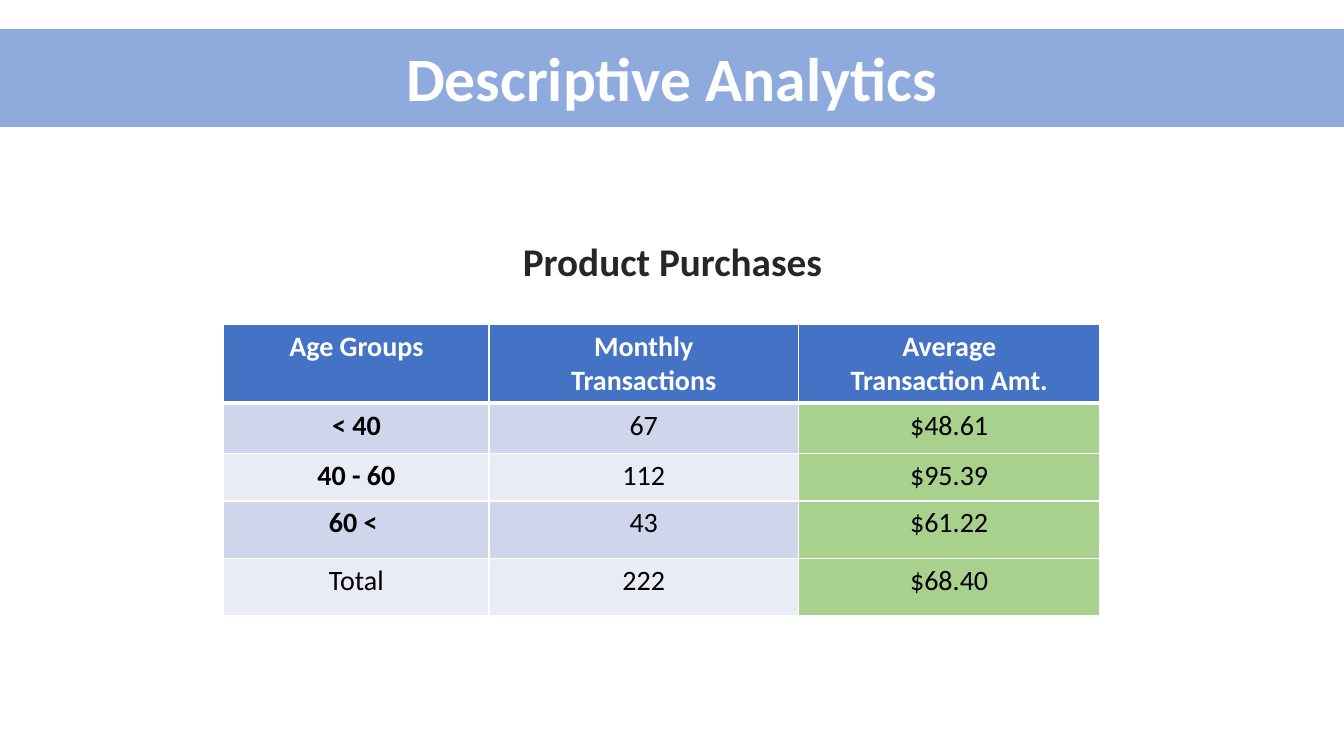
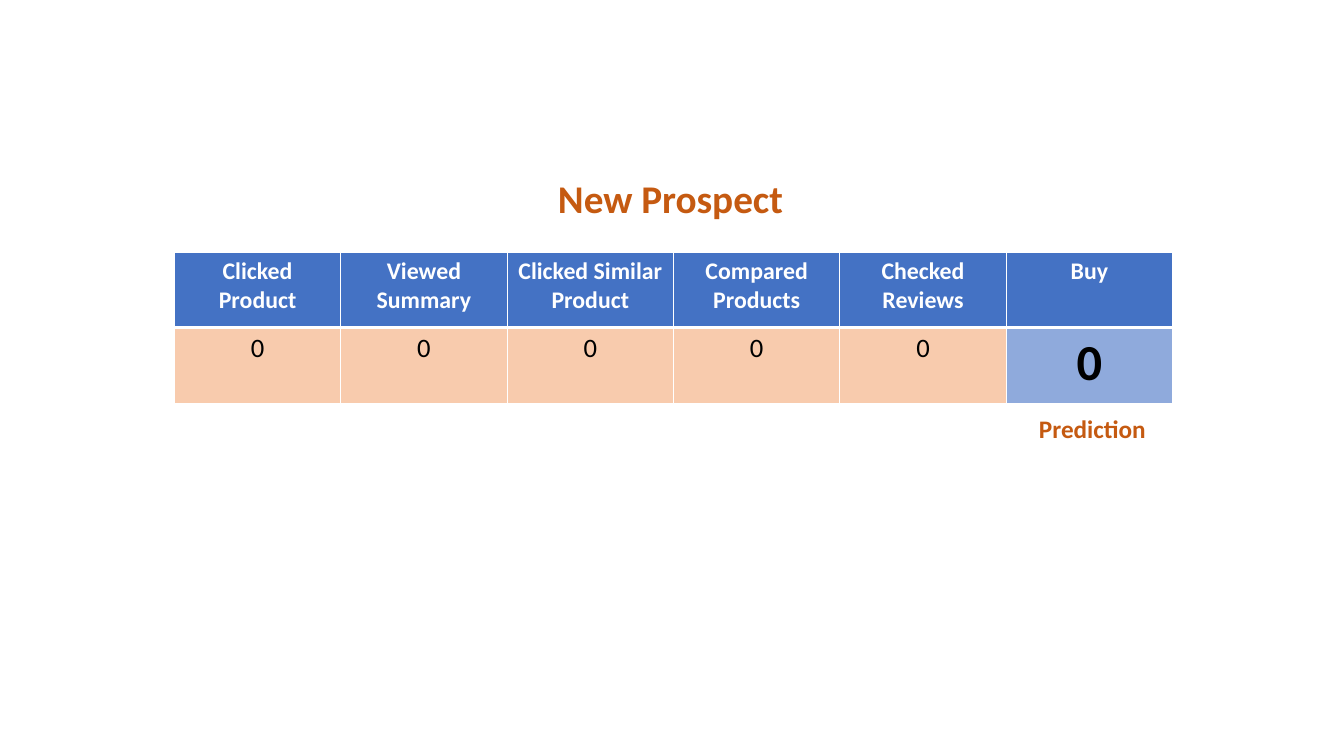
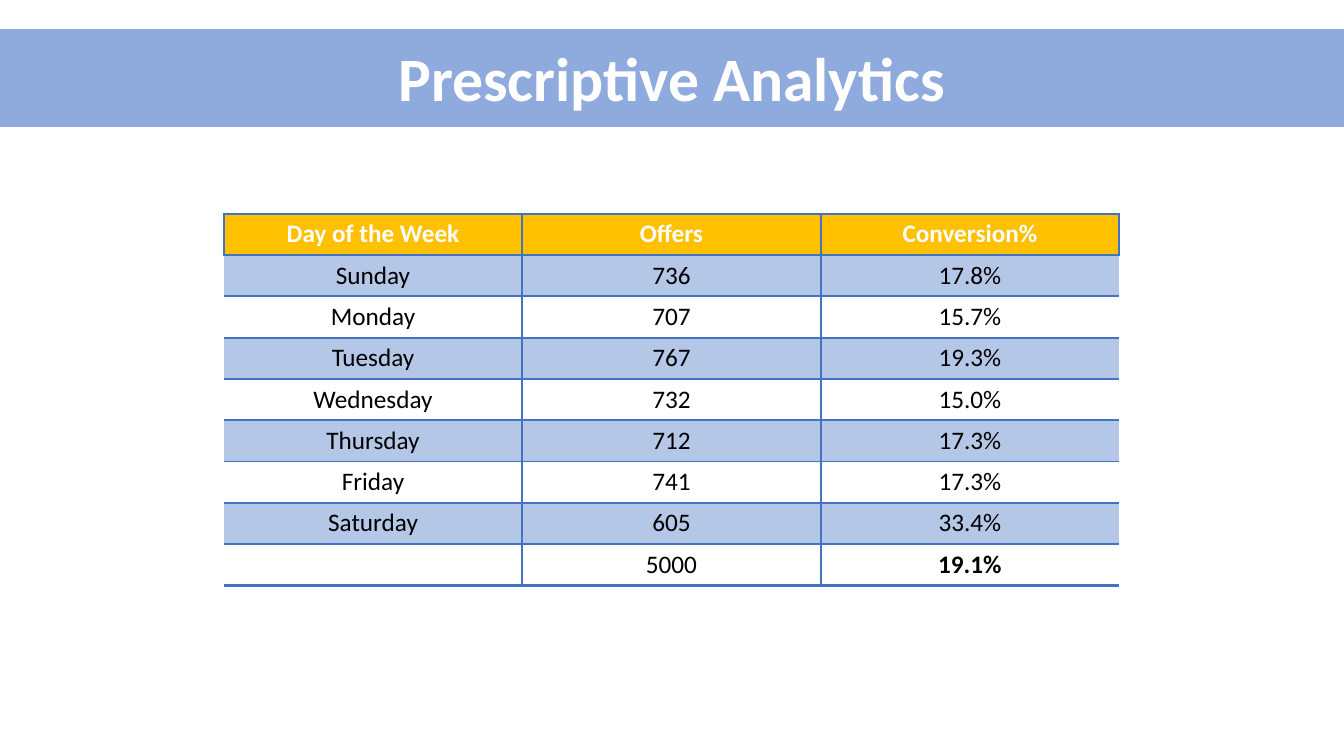
import dataclasses
import typing

import lxml.etree
import pptx
import pptx.dml.color
import pptx.enum.shapes
import pptx.enum.text
import pptx.oxml.ns
import pptx.util

Inches = pptx.util.Inches
FONT = "Calibri"
WIDE, HIGH = 13.33, 7.5

HUES = {
    "white": "FFFFFF",
    "black": "000000",
    "ink": "262626",
    "rust": "C55A11",
    "blue": "4472C4",
    "band": "8FAADC",
    "dark": "CFD5EA",
    "light": "E9EBF5",
    "green": "A9D18E",
    "peach": "F8CBAD",
    "gold": "FFC000",
    "sky": "B4C7E7",
}


@dataclasses.dataclass(frozen=True)
class Label:
    words: str
    left: float
    top: float
    width: float
    height: float
    size: float
    hue: str


@dataclasses.dataclass(frozen=True)
class Look:
    fill: str
    size: float
    hue: str = "black"
    bold: bool = False


# Line widths in points; 0 means no line
@dataclasses.dataclass(frozen=True)
class Edge:
    hue: str
    left: float
    right: float
    top: float
    bottom: float


@dataclasses.dataclass(frozen=True)
class Grid:
    left: float
    top: float
    cols: list[float]
    rows: list[float]
    words: list[list[str]]
    look: typing.Callable[[int, int], Look]
    edge: typing.Callable[[int, int], Edge]


def tint(name: str) -> pptx.dml.color.RGBColor:
    return pptx.dml.color.RGBColor.from_string(HUES[name])


def write(frame, words: str, size: float, hue: str, bold: bool) -> None:
    for num, line in enumerate(words.split("\n")):
        para = frame.add_paragraph() if num else frame.paragraphs[0]
        para.alignment = pptx.enum.text.PP_ALIGN.CENTER
        if not line:
            continue
        run = para.add_run()
        run.text = line
        run.font.name = FONT
        run.font.size = pptx.util.Pt(size)
        run.font.bold = bold
        run.font.color.rgb = tint(hue)


def add_label(slide, label: Label) -> None:
    box = slide.shapes.add_textbox(Inches(label.left), Inches(label.top),
                                   Inches(label.width), Inches(label.height))
    frame = box.text_frame
    frame.word_wrap = False
    frame.auto_size = pptx.enum.text.MSO_AUTO_SIZE.SHAPE_TO_FIT_TEXT
    write(frame, label.words, label.size, label.hue, True)


def add_band(slide, title: str, width: float) -> None:
    band = slide.shapes.add_shape(pptx.enum.shapes.MSO_SHAPE.RECTANGLE, 0,
                                  Inches(0.29), Inches(WIDE), Inches(0.97))
    band.shadow.inherit = False
    band.fill.solid()
    band.fill.fore_color.rgb = tint("band")
    band.line.fill.background()
    add_label(slide, Label(title, (WIDE - width) / 2, 0.35, width, 0.84, 44, "white"))


def rule(cell, edge: Edge) -> None:
    props = cell._tc.get_or_add_tcPr()
    sides = {"L": edge.left, "R": edge.right, "T": edge.top, "B": edge.bottom}
    for side, width in sides.items():
        line = lxml.etree.SubElement(props, pptx.oxml.ns.qn(f"a:ln{side}"))
        if not width:
            lxml.etree.SubElement(line, pptx.oxml.ns.qn("a:noFill"))
            continue
        line.set("w", str(pptx.util.Pt(width)))
        solid = lxml.etree.SubElement(line, pptx.oxml.ns.qn("a:solidFill"))
        hue = lxml.etree.SubElement(solid, pptx.oxml.ns.qn("a:srgbClr"))
        hue.set("val", HUES[edge.hue])


def add_grid(slide, grid: Grid) -> None:
    table = slide.shapes.add_table(
        len(grid.rows), len(grid.cols), Inches(grid.left), Inches(grid.top),
        Inches(sum(grid.cols)), Inches(sum(grid.rows))).table
    for col, width in zip(table.columns, grid.cols):
        col.width = Inches(width)
    for row, height in zip(table.rows, grid.rows):
        row.height = Inches(height)
    for r, line in enumerate(grid.words):
        for c, words in enumerate(line):
            cell, look = table.cell(r, c), grid.look(r, c)
            rule(cell, grid.edge(r, c))
            cell.fill.solid()
            cell.fill.fore_color.rgb = tint(look.fill)
            write(cell.text_frame, words, look.size, look.hue, look.bold)


# White grid with a heavy rule under the header
def white_edge(r: int, c: int) -> Edge:
    return Edge("white", 1, 1, 3 if r == 1 else 1, 1 if r else 3)


# Blue grid, open at the sides below the header
def blue_edge(r: int, c: int) -> Edge:
    return Edge("blue", 1.5 if r == 0 or c > 0 else 0,
                1.5 if r == 0 or c < 2 else 0, 1.5, 3 if r == 8 else 1.5)


def age_look(r: int, c: int) -> Look:
    if r == 0:
        return Look("blue", 20, "white", True)
    fill = "green" if c == 2 else "dark" if r % 2 else "light"
    return Look(fill, 20, bold=c == 0 and r < 4)


def lead_look(r: int, c: int) -> Look:
    if r == 0:
        return Look("blue", 17, "white", True)
    return Look("band", 36, bold=True) if c == 5 else Look("peach", 19)


def day_look(r: int, c: int) -> Look:
    if r == 0:
        return Look("gold", 18, "white", True)
    return Look("sky" if r % 2 else "white", 18, bold=(r, c) == (8, 2))


AGES = Grid(2.22, 3.22, [2.63, 3.07, 2.99], [0.78, 0.5, 0.47, 0.57, 0.57], [
    ["Age Groups", "Monthly\nTransactions", "Average\nTransaction Amt."],
    ["< 40", "67", "$48.61"],
    ["40 - 60", "112", "$95.39"],
    ["60 < ", "43", "$61.22"],
    ["Total", "222", "$68.40"],
], age_look, white_edge)

LEAD = Grid(1.73, 2.5, [1.65] * 6, [0.75] * 2, [
    ["Clicked Product", "Viewed Summary", "Clicked Similar Product",
     "Compared Products", "Checked Reviews", "Buy"],
    ["0"] * 6,
], lead_look, white_edge)

DAYS = Grid(2.22, 2.12, [2.96] * 3, [0.41] * 9, [
    ["Day of the Week", "Offers", "Conversion%"],
    ["Sunday", "736", "17.8%"],
    ["Monday", "707", "15.7%"],
    ["Tuesday", "767", "19.3%"],
    ["Wednesday", "732", "15.0%"],
    ["Thursday", "712", "17.3%"],
    ["Friday", "741", "17.3%"],
    ["Saturday", "605", "33.4%"],
    ["", "5000", "19.1%"],
], day_look, blue_edge)


def main() -> None:
    deck = pptx.Presentation()
    deck.slide_width, deck.slide_height = Inches(WIDE), Inches(HIGH)
    blank = deck.slide_layouts[6]

    # Purchases by age
    slide = deck.slides.add_slide(blank)
    add_grid(slide, AGES)
    add_label(slide, Label("Product Purchases", 5.07, 2.31, 3.2, 0.57, 28, "ink"))
    add_band(slide, "Descriptive Analytics", 5.48)

    # Prediction for one prospect
    slide = deck.slides.add_slide(blank)
    add_grid(slide, LEAD)
    add_label(slide, Label("New Prospect", 5.42, 1.68, 2.46, 0.57, 28, "rust"))
    add_label(slide, Label("Prediction", 10.2, 4.05, 1.27, 0.4, 18, "rust"))

    # Offers by day
    slide = deck.slides.add_slide(blank)
    add_grid(slide, DAYS)
    add_band(slide, "Prescriptive Analytics", 5.63)

    deck.save("out.pptx")


if __name__ == "__main__":
    main()
